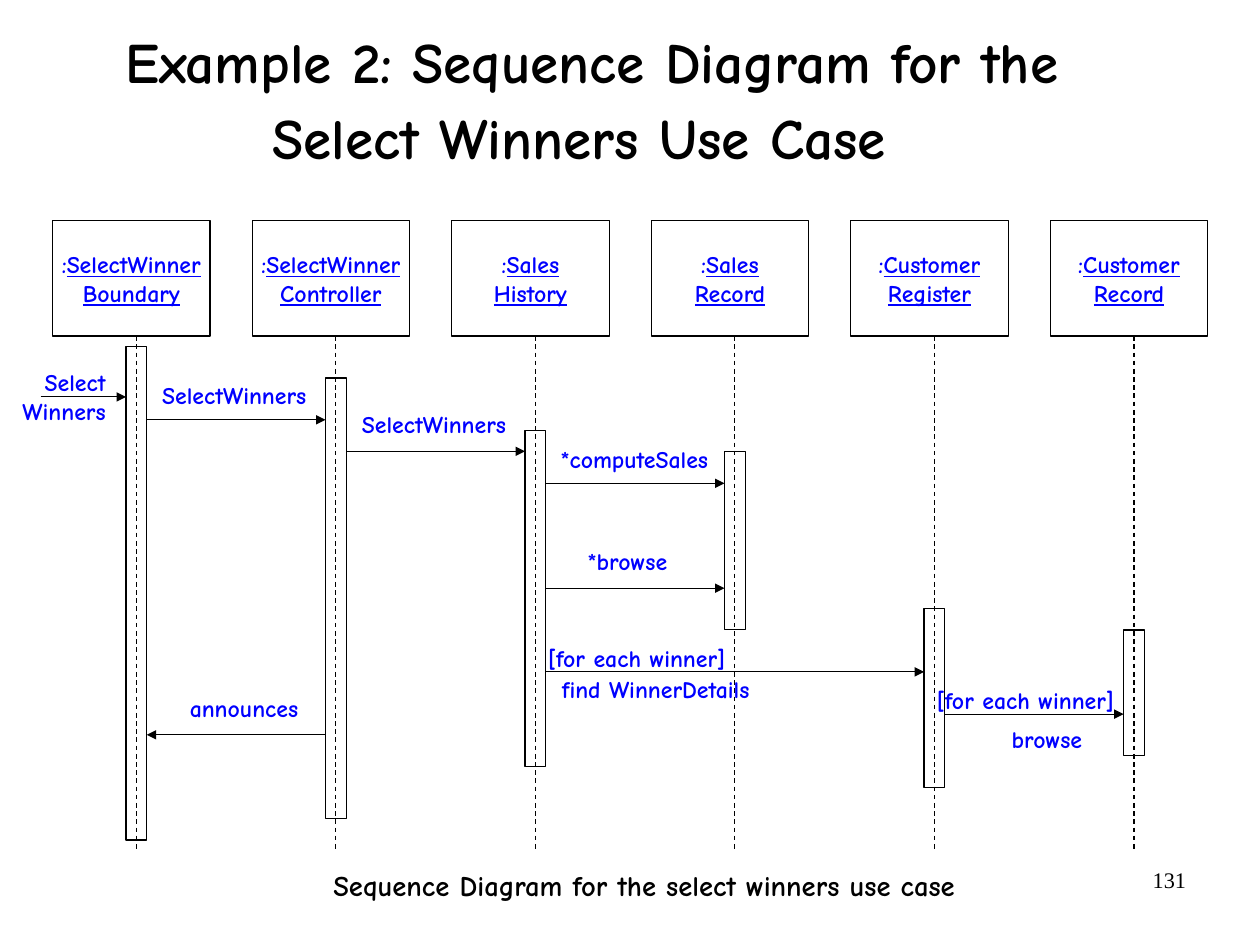
from typing import NamedTuple

from lxml import etree
from pptx import Presentation
from pptx.dml.color import RGBColor
from pptx.enum.dml import MSO_LINE
from pptx.enum.shapes import MSO_CONNECTOR, MSO_SHAPE
from pptx.enum.text import MSO_ANCHOR, MSO_AUTO_SIZE, PP_ALIGN
from pptx.oxml.ns import qn
from pptx.util import Cm, Pt

RECTANGLE = MSO_SHAPE.RECTANGLE
STRAIGHT = MSO_CONNECTOR.STRAIGHT
DASH = MSO_LINE.DASH
MIDDLE = MSO_ANCHOR.MIDDLE
NO_AUTOSIZE = MSO_AUTO_SIZE.NONE
FIT_SHAPE = MSO_AUTO_SIZE.SHAPE_TO_FIT_TEXT
LEFT, CENTER, RIGHT = PP_ALIGN.LEFT, PP_ALIGN.CENTER, PP_ALIGN.RIGHT

COLORS = {"black": "000000", "blue": "0000FF"}
COMIC = "Comic Neue"
TIMES = "Times New Roman"

FIRST_LIFELINE, LAST_LIFELINE = 3.03, 25.2
HEAD_OFFSET, HEAD_TOP, HEAD_WIDTH, HEAD_HEIGHT = 1.86, 4.9, 3.5, 2.57
LIFELINE_BOTTOM = 18.9
BAR_WIDTH = 0.46


class Participant(NamedTuple):
    first_word: str
    second_word: str
    bar_top: float
    bar_height: float


class Message(NamedTuple):
    sender: int
    receiver: int
    y: float


class Label(NamedTuple):
    lines: tuple[str, ...]
    left: float
    top: float
    width: float
    height: float = 0.64
    size: float = 15
    color: str = "blue"
    font: str = COMIC
    bold: bool = True
    align: PP_ALIGN = RIGHT


PARTICIPANTS = [
    Participant("SelectWinner", "Boundary", 7.7, 10.97),
    Participant("SelectWinner", "Controller", 8.4, 9.8),
    Participant("Sales", "History", 9.57, 7.47),
    Participant("Sales", "Record", 10.03, 3.97),
    Participant("Customer", "Register", 13.53, 3.97),
    Participant("Customer", "Record", 14, 2.8),
]
MESSAGES = [
    Message(0, 1, 9.33),
    Message(1, 2, 10.03),
    Message(2, 3, 10.74),
    Message(2, 3, 13.07),
    Message(2, 4, 14.93),
    Message(4, 5, 15.87),
    Message(1, 0, 16.33),
]
LABELS = [
    Label(("Select", "Winners"), 0.5, 8.18, 1.85, 1.27),
    Label(("SelectWinners",), 3.51, 8.46, 3.3),
    Label(("SelectWinners",), 7.95, 9.11, 3.3),
    Label(("*computeSales",), 12.4, 9.88, 3.34),
    Label(("*browse",), 13.01, 12.14, 1.82),
    Label(("[for each winner]",), 12.1, 14.3, 4.02),
    Label(("find WinnerDetails",), 12.43, 14.99, 4.23),
    Label(("[for each winner]",), 20.74, 15.23, 4.02),
    Label(("browse",), 22.44, 16.1, 1.61),
    Label(("announces",), 4.12, 15.42, 2.51),
    Label(("Sequence Diagram for the select winners use case",),
          7.41, 19.28, 13.86, 0.76, 18, "black", align=LEFT),
    Label(("131",), 25.52, 19.25, 0.84, 0.6, 14, "black", TIMES, False),
]


def lifeline_x(index: int) -> float:
    pitch = (LAST_LIFELINE - FIRST_LIFELINE) / (len(PARTICIPANTS) - 1)
    return FIRST_LIFELINE + index * pitch


def add_run(paragraph, text: str, size: float, color: str = "blue",
            font: str = COMIC, bold: bool = True, underline: bool = False) -> None:
    run = paragraph.add_run()
    run.text = text
    run.font.name = font
    run.font.size = Pt(size)
    run.font.bold = bold
    run.font.underline = underline
    run.font.color.rgb = RGBColor.from_string(COLORS[color])


def set_margins(frame, horizontal: float, vertical: float) -> None:
    frame.margin_left = frame.margin_right = Cm(horizontal)
    frame.margin_top = frame.margin_bottom = Cm(vertical)


def add_title(slide) -> None:
    title = slide.shapes.title
    title.left, title.top = Cm(1.25), Cm(0.56)
    title.width, title.height = Cm(23.8), Cm(3.48)
    frame = title.text_frame
    frame.auto_size = NO_AUTOSIZE
    frame.word_wrap = True
    frame.vertical_anchor = MIDDLE
    set_margins(frame, 0.05, 0.15)
    paragraph = frame.paragraphs[0]
    paragraph.alignment = CENTER
    paragraph.line_spacing = 0.94
    paragraph.space_before = Pt(0)
    add_run(paragraph, "Example 2: Sequence Diagram for the Select Winners Use Case",
            36, "black")
    add_run(paragraph, " ", 44, "black")


def add_box(slide, left: float, top: float, width: float, height: float):
    box = slide.shapes.add_shape(RECTANGLE, Cm(left), Cm(top), Cm(width), Cm(height))
    box.shadow.inherit = False
    box.fill.background()
    box.line.color.rgb = RGBColor.from_string(COLORS["black"])
    box.line.width = Pt(0.75)
    return box


def add_line(slide, x1: float, y1: float, x2: float, y2: float):
    line = slide.shapes.add_connector(STRAIGHT, Cm(x1), Cm(y1), Cm(x2), Cm(y2))
    line.line.color.rgb = RGBColor.from_string(COLORS["black"])
    line.line.width = Pt(0.75)
    etree.SubElement(line._element.spPr, qn("a:effectLst"))
    return line


def add_arrow(slide, x1: float, x2: float, y: float) -> None:
    arrow = add_line(slide, x1, y, x2, y)
    etree.SubElement(arrow.line._get_or_add_ln(), qn("a:tailEnd"), type="triangle")


def add_participant(slide, index: int, participant: Participant) -> None:
    x = lifeline_x(index)
    head = add_box(slide, x - HEAD_OFFSET, HEAD_TOP, HEAD_WIDTH, HEAD_HEIGHT)
    frame = head.text_frame
    frame.word_wrap = False
    frame.vertical_anchor = MIDDLE
    set_margins(frame, 0.28, 0.15)
    first, second = frame.paragraphs[0], frame.add_paragraph()
    first.alignment = second.alignment = CENTER
    add_run(first, ":", 15)
    add_run(first, participant.first_word, 15, underline=True)
    add_run(second, participant.second_word, 15, underline=True)

    lifeline = add_line(slide, x, HEAD_TOP + HEAD_HEIGHT, x, LIFELINE_BOTTOM)
    lifeline.line.dash_style = DASH
    add_box(slide, x - BAR_WIDTH / 2, participant.bar_top,
            BAR_WIDTH, participant.bar_height)


def add_message(slide, message: Message) -> None:
    """Draw an arrow between the facing edges of two activation bars."""
    edge = BAR_WIDTH / 2 if message.sender < message.receiver else -BAR_WIDTH / 2
    add_arrow(slide, lifeline_x(message.sender) + edge,
              lifeline_x(message.receiver) - edge, message.y)


def add_label(slide, label: Label) -> None:
    box = slide.shapes.add_textbox(Cm(label.left), Cm(label.top),
                                   Cm(label.width), Cm(label.height))
    frame = box.text_frame
    frame.word_wrap = False
    frame.auto_size = FIT_SHAPE
    set_margins(frame, 0, 0)
    for number, text in enumerate(label.lines):
        paragraph = frame.add_paragraph() if number else frame.paragraphs[0]
        paragraph.alignment = label.align
        add_run(paragraph, text, label.size, label.color, label.font, label.bold)


def main() -> None:
    presentation = Presentation()
    presentation.slide_width, presentation.slide_height = Cm(28), Cm(21)
    slide = presentation.slides.add_slide(presentation.slide_layouts[5])
    add_title(slide)
    for index, participant in enumerate(PARTICIPANTS):
        add_participant(slide, index, participant)
    add_arrow(slide, 0.9, lifeline_x(0) - BAR_WIDTH / 2, 8.82)
    for message in MESSAGES:
        add_message(slide, message)
    for label in LABELS:
        add_label(slide, label)
    presentation.save("out.pptx")


if __name__ == "__main__":
    main()
